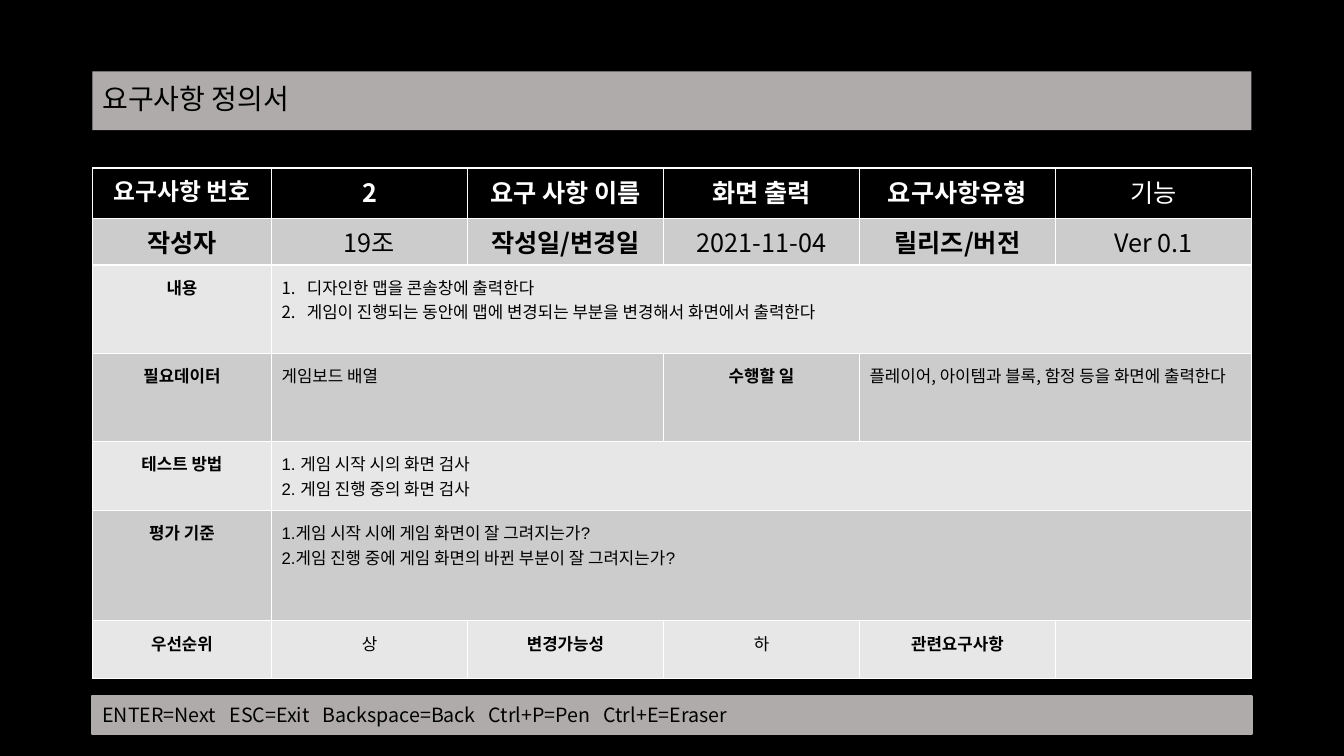
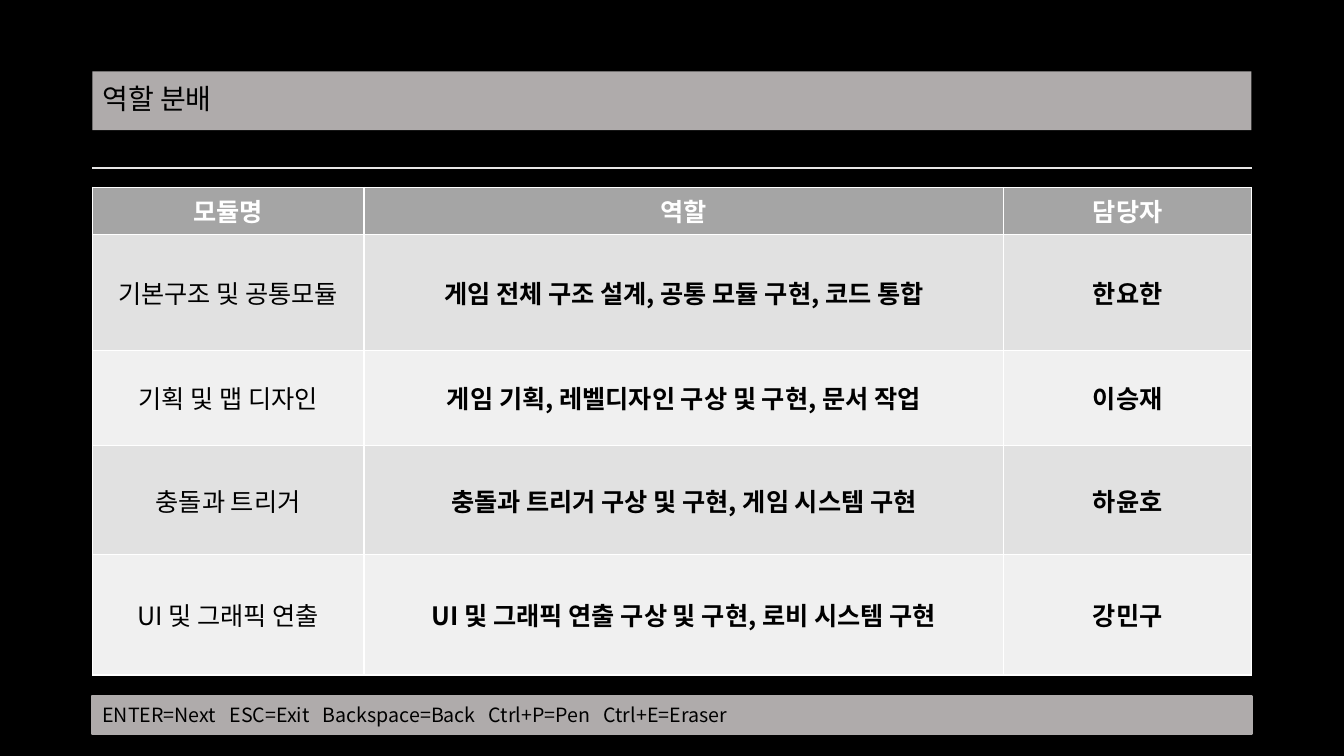
from itertools import cycle

from lxml.etree import SubElement
from pptx import Presentation
from pptx.dml.color import RGBColor
from pptx.enum.shapes import MSO_CONNECTOR as CONN, MSO_SHAPE as SHAPE
from pptx.enum.text import MSO_ANCHOR as ANCHOR, PP_ALIGN as ALIGN
from pptx.oxml.ns import qn
from pptx.util import Pt

COLORS = {
    "black": "000000",
    "white": "FFFFFF",
    "bar": "AFABAB",
    "rule": "E7E6E6",
    "dark_band": "CCCCCC",
    "light_band": "E7E7E7",
    "role_head": "A5A5A5",
    "role_dark": "E1E1E1",
    "role_light": "F0F0F0",
}
SANS, ARIAL = "Noto Sans CJK KR", "Arial"
LEFT, WIDTH = 66, 828
TITLE_BOX = (LEFT, 51, WIDTH, 42)
FOOTER_BOX = (LEFT, 497, WIDTH, 27)
RULE_Y = 120
FOOTER = "ENTER=Next   ESC=Exit   Backspace=Back   Ctrl+P=Pen   Ctrl+E=Eraser "


def rgb(name):
    return RGBColor.from_string(COLORS[name])


def format_text(tf, size, color="black", bold=False, font=SANS, align=ALIGN.LEFT):
    for p in tf.paragraphs:
        p.alignment = align
        for r in p.runs:
            r.font.size = Pt(size)
            r.font.bold = bold
            r.font.name = font
            r.font.color.rgb = rgb(color)
            SubElement(r.font._element, qn("a:ea"), typeface=SANS)


def number_paragraphs(tf, indent=18):
    for p in tf.paragraphs:
        pPr = p._p.get_or_add_pPr()
        pPr.set("marL", str(Pt(indent)))
        pPr.set("indent", str(-Pt(indent)))
        SubElement(pPr, qn("a:buFont"), typeface="+mj-lt")
        SubElement(pPr, qn("a:buAutoNum"), type="arabicPeriod")


def add_bar(slide, box, text, size, outlined=False):
    sp = slide.shapes.add_shape(SHAPE.RECTANGLE, *map(Pt, box))
    sp.shadow.inherit = False
    sp.fill.solid()
    sp.fill.fore_color.rgb = rgb("bar")
    if outlined:
        sp.line.color.rgb = rgb("bar")
        sp.line.width = Pt(1.5)
    else:
        sp.line.fill.background()
    tf = sp.text_frame
    tf.text = text
    tf.vertical_anchor = ANCHOR.MIDDLE
    format_text(tf, size)
    return tf


def add_rule(slide, x, y, width):
    line = slide.shapes.add_connector(CONN.STRAIGHT, Pt(x), Pt(y), Pt(x + width), Pt(y))
    line.line.color.rgb = rgb("rule")
    line.line.width = Pt(1.5)
    SubElement(line._element.spPr, qn("a:effectLst"))


def add_page(prs, title):
    slide = prs.slides.add_slide(prs.slide_layouts[6])
    slide.background.fill.solid()
    slide.background.fill.fore_color.rgb = rgb("black")
    add_rule(slide, LEFT, RULE_Y, WIDTH)
    add_bar(slide, FOOTER_BOX, FOOTER, 14, outlined=True)
    tf = add_bar(slide, TITLE_BOX, title, 20)
    tf.paragraphs[0].line_spacing = 0.9
    return slide


def add_grid(slide, x, y, widths, heights, fills):
    frame = slide.shapes.add_table(len(heights), len(widths), Pt(x), Pt(y),
                                   Pt(sum(widths)), Pt(sum(heights)))
    table = frame.table
    for column, width in zip(table.columns, widths):
        column.width = Pt(width)
    for row, height, fill in zip(table.rows, heights, fills):
        row.height = Pt(height)
        for cell in row.cells:
            cell.fill.solid()
            cell.fill.fore_color.rgb = rgb(fill)
    return table


def add_requirement_table(slide, x, y, width):
    single, wide, paired = (1,) * 6, (1, 5), (1, 2, 1, 2)
    rows = [
        (single, ["요구사항 번호", "2", "요구 사항 이름", "화면 출력", "요구사항유형", "기능"]),
        (single, ["작성자", "19조", "작성일/변경일", "2021-11-04", "릴리즈/버전", "Ver 0.1"]),
        (wide, ["내용", "디자인한 맵을 콘솔창에 출력한다\n"
                "게임이 진행되는 동안에 맵에 변경되는 부분을 변경해서 화면에서 출력한다"]),
        (paired, ["필요데이터", "게임보드 배열", "수행할 일",
                  "플레이어, 아이템과 블록, 함정 등을 화면에 출력한다"]),
        (wide, ["테스트 방법", "1. 게임 시작 시의 화면 검사\n2. 게임 진행 중의 화면 검사"]),
        (wide, ["평가 기준", "1.게임 시작 시에 게임 화면이 잘 그려지는가?\n"
                "2.게임 진행 중에 게임 화면의 바뀐 부분이 잘 그려지는가?"]),
        (single, ["우선순위", "상", "변경가능성", "하", "관련요구사항", ""]),
    ]
    label_width = 128
    widths = [label_width] + [(width - label_width) / 5] * 5
    bands = cycle(["dark_band", "light_band"])
    fills = ["black"] + [next(bands) for _ in rows[1:]]
    table = add_grid(slide, x, y, widths, [36, 32, 63, 63, 48, 79, 41], fills)
    for i, (spans, texts) in enumerate(rows):
        heading, detail = i == 0, i > 1
        col = 0
        for j, (span, text) in enumerate(zip(spans, texts)):
            cell = table.cell(i, col)
            if span > 1:
                cell.merge(table.cell(i, col + span - 1))
            col += span
            if detail:
                cell.margin_top = cell.margin_bottom = Pt(7.2)
            cell.text_frame.text = text
            format_text(cell.text_frame, 12 if detail else 18,
                        color="white" if heading else "black",
                        bold=j < 5 if heading else j % 2 == 0,
                        font=ARIAL if detail else SANS,
                        align=ALIGN.LEFT if span > 1 else ALIGN.CENTER)
    table.cell(0, 0).text_frame.paragraphs[0].runs[0].font.size = Pt(17)
    table.cell(3, 4).text_frame.paragraphs[0].runs[0].font.name = SANS
    number_paragraphs(table.cell(2, 1).text_frame)


def add_role_table(slide, x, y):
    rows = [
        ("모듈명", "역할", "담당자"),
        ("기본구조 및 공통모듈", "게임 전체 구조 설계, 공통 모듈 구현, 코드 통합", "한요한"),
        ("기획 및 맵 디자인", "게임 기획, 레벨디자인 구상 및 구현, 문서 작업", "이승재"),
        ("충돌과 트리거", "충돌과 트리거 구상 및 구현, 게임 시스템 구현", "하윤호"),
        ("UI 및 그래픽 연출", "UI 및 그래픽 연출 구상 및 구현, 로비 시스템 구현", "강민구"),
    ]
    fills = ["role_head"] + ["role_dark", "role_light"] * 2
    table = add_grid(slide, x, y, [194, 457, 177], [30, 83, 68, 78, 86], fills)
    for i, texts in enumerate(rows):
        for j, text in enumerate(texts):
            cell = table.cell(i, j)
            cell.text_frame.text = text
            if i:
                cell.vertical_anchor = ANCHOR.MIDDLE
            format_text(cell.text_frame, 18, color="black" if i else "white",
                        bold=i == 0 or j > 0, align=ALIGN.CENTER)


prs = Presentation()
prs.slide_width, prs.slide_height = Pt(960), Pt(540)
add_requirement_table(add_page(prs, "요구사항 정의서"), LEFT, RULE_Y, WIDTH)
add_role_table(add_page(prs, "역할 분배"), LEFT, RULE_Y + 14)
prs.save("out.pptx")
